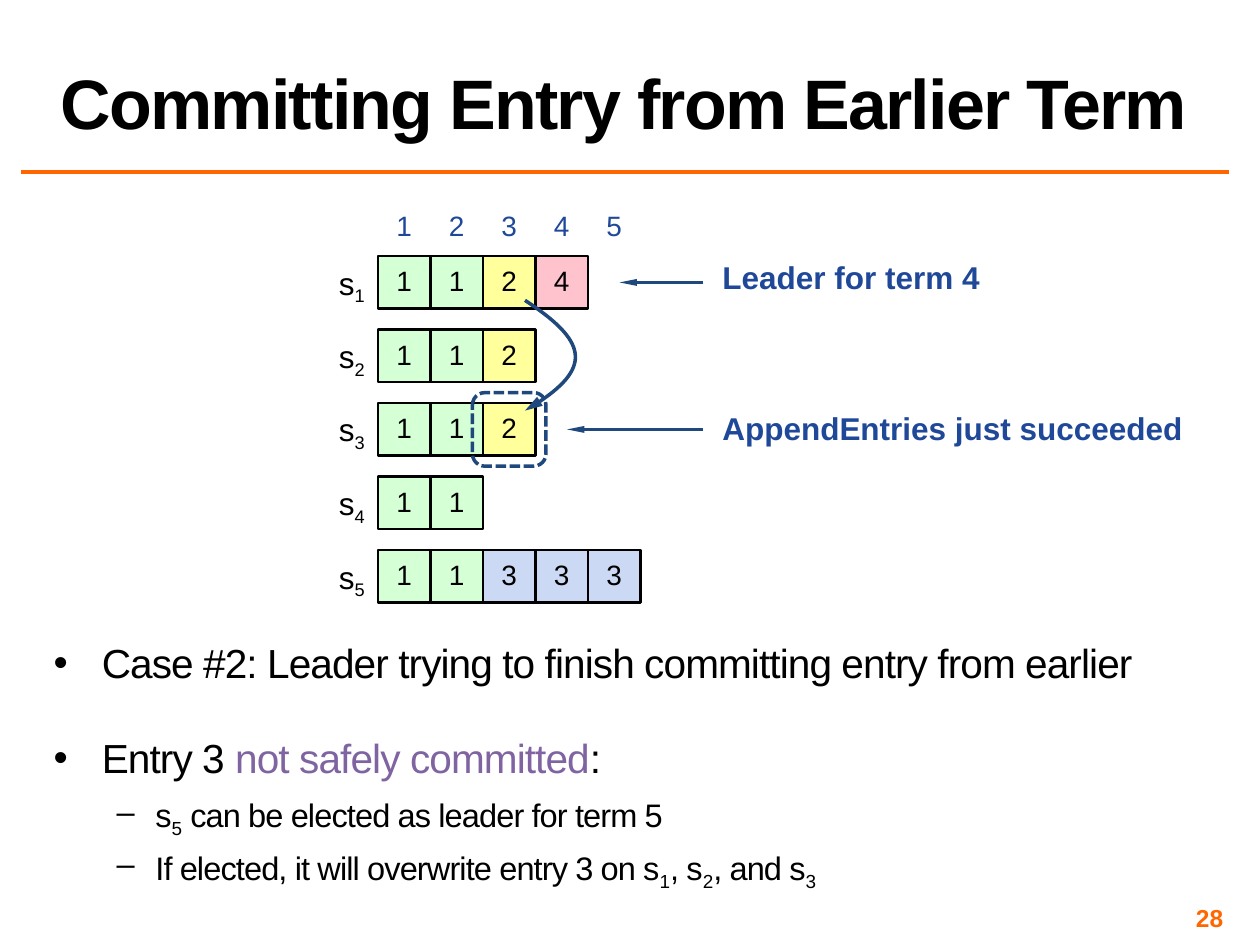
from lxml import etree
from pptx import Presentation
from pptx.dml.color import RGBColor as Rgb
from pptx.enum.dml import MSO_LINE as Dash
from pptx.enum.shapes import MSO_CONNECTOR as Conn, MSO_SHAPE as Kind
from pptx.enum.text import MSO_ANCHOR as Anchor, MSO_AUTO_SIZE as Auto, PP_ALIGN as Align
from pptx.oxml.ns import qn
from pptx.util import Pt

COLORS = {
    "black": "000000", "orange": "FF6600", "navy": "1F497D", "blue": "1F4899",
    "purple": "8064A2", "green": "D5FFD5", "yellow": "FFFF9B", "pink": "FFC3CE",
    "pale": "CCD9F4",
}
FILLS = {1: "green", 2: "yellow", 3: "pale", 4: "pink"}
LOGS = [[1, 1, 2, 4], [1, 1, 2], [1, 1, 2], [1, 1], [1, 1, 3, 3, 3]]
NOTES = [
    ("Leader for term 4", 250, 260, 590, 269),
    ("AppendEntries just succeeded", 394, 508, 540, 409),
]
BODY = [
    (0, 0, ["Case #2: Leader trying to finish committing entry from earlier"]),
    (0, 24, ["Entry 3 ", ("not safely committed", "purple"), ":"]),
    (1, 3, ["s", ("5", "sub"), " can be elected as leader for term 5"]),
    (1, 3, ["If elected, it will overwrite entry 3 on s", ("1", "sub"), ", s",
            ("2", "sub"), ", and s", ("3", "sub")]),
]
LEVELS = [("•", 46, 46, 23.2, 0.8), ("–", 97, 37, 18.6, 0.75)]

PX = 7620
LEFT, TOP, CELL, PITCH = 360, 244, 50, 70
CURVE = [(500, 286), (558, 324), (566, 353), (500, 391)]
EDGE = 547

deck = Presentation()
deck.slide_width, deck.slide_height = 1200 * PX, 900 * PX
slide = deck.slides.add_slide(deck.slide_layouts[6])
shapes = slide.shapes


def px(*nums):
    return [n * PX for n in nums]


def tint(name):
    return Rgb.from_string(COLORS[name])


def write(para, parts, size, color="black", bold=False, track=0,
          align=Align.LEFT, lead=None, before=0, after=0):
    para.alignment = align
    para.space_before, para.space_after = Pt(before), Pt(after)
    if lead:
        para.line_spacing = lead
    for part in parts:
        text, style = part if isinstance(part, tuple) else (part, None)
        run = para.add_run()
        run.text = text
        font = run.font
        font.name, font.size, font.bold = "Arial", Pt(size), bold
        font.color.rgb = tint(style if style in COLORS else color)
        props = run._r.get_or_add_rPr()
        if track:
            props.set("spc", str(track))
        if style == "sub":
            props.set("baseline", "-25000")


def frame(shape, pad=(0, 0), anchor=Anchor.TOP, grow=False):
    box = shape.text_frame
    box.word_wrap = True
    box.auto_size = Auto.SHAPE_TO_FIT_TEXT if grow else Auto.NONE
    box.vertical_anchor = anchor
    box.margin_left = box.margin_right = pad[0] * PX
    box.margin_top = box.margin_bottom = pad[1] * PX
    return box


def label(area, parts, pad=(0, 0), anchor=Anchor.TOP, grow=False, **style):
    box = frame(shapes.add_textbox(*px(*area)), pad, anchor, grow)
    write(box.paragraphs[0], parts, **style)


def stroke(shape, color, width):
    shape.line.color.rgb = tint(color)
    shape.line.width = Pt(width)


def head(shape, wide):
    tail = etree.SubElement(shape.line._get_or_add_ln(), qn("a:tailEnd"))
    for key, val in (("type", "triangle"), ("w", wide), ("len", "lg")):
        tail.set(key, val)


def rule(x1, y1, x2, y2, color, width):
    line = shapes.add_connector(Conn.STRAIGHT, *px(x1, y1, x2, y2))
    stroke(line, color, width)
    etree.SubElement(line._element.spPr, qn("a:effectLst"))
    return line


def block(kind, area):
    shape = shapes.add_shape(kind, *px(*area))
    shape.shadow.inherit = False
    return shape


def bullet(para, mark, left, hang):
    props = para._p.get_or_add_pPr()
    props.set("marL", str(left * PX))
    props.set("indent", str(-hang * PX))
    etree.SubElement(props, qn("a:buFont")).set("typeface", "Arial")
    etree.SubElement(props, qn("a:buChar")).set("char", mark)


def bend():
    start, end = CURVE[0], CURVE[-1]
    pen = shapes.build_freeform(*start, scale=PX)
    pen.add_line_segments([(EDGE, start[1]), end], close=False)
    arc = pen.convert_to_shape()
    arc.shadow.inherit = False
    arc.fill.background()
    route = arc._element.spPr.find(".//" + qn("a:path"))
    for step in route.findall(qn("a:lnTo")):
        route.remove(step)
    route.set("w", str((EDGE - start[0]) * PX))
    route.set("h", str((end[1] - start[1]) * PX))
    cubic = etree.SubElement(route, qn("a:cubicBezTo"))
    for x, y in CURVE[1:]:
        point = etree.SubElement(cubic, qn("a:pt"))
        point.set("x", str((x - start[0]) * PX))
        point.set("y", str((y - start[1]) * PX))
    stroke(arc, "navy", 2)
    head(arc, "med")


rule(20, 164, 1170, 164, "orange", 2)
label((46, 2, 1124, 140), ["Committing Entry from Earlier Term"], pad=(12, 6),
      anchor=Anchor.BOTTOM, size=40, bold=True, track=-100, lead=0.8)

for col in range(5):
    label((LEFT + col * CELL, 193, CELL, 44), [str(col + 1)], pad=(12, 6),
          grow=True, size=16, color="blue", align=Align.CENTER)

for row, log in enumerate(LOGS):
    y = TOP + row * PITCH
    label((LEFT - CELL, y + 7, CELL, 36), ["s", (str(row + 1), "sub")],
          grow=True, size=18, align=Align.CENTER)
    for col, term in enumerate(log):
        cell = block(Kind.RECTANGLE, (LEFT + col * CELL, y, CELL, CELL))
        cell.fill.solid()
        cell.fill.fore_color.rgb = tint(FILLS[term])
        stroke(cell, "black", 1.5)
        write(frame(cell, anchor=Anchor.MIDDLE).paragraphs[0], [str(term)],
              size=16, align=Align.CENTER, lead=Pt(17))

ring = block(Kind.ROUNDED_RECTANGLE, (450, 374, 70, 70))
ring.fill.background()
stroke(ring, "navy", 2)
ring.line.dash_style = Dash.SQUARE_DOT

for text, y, wide, tip, mid in NOTES:
    label((688, y, wide, 32), [text], grow=True, size=18, color="blue",
          bold=True, lead=Pt(19))
    head(rule(670, mid, tip, mid, "navy", 1.5), "sm")
bend()

body = frame(shapes.add_textbox(*px(46, 612, 1150, 259)), (5, 5))
for num, (level, before, parts) in enumerate(BODY):
    para = body.add_paragraph() if num else body.paragraphs[0]
    mark, left, hang, size, lead = LEVELS[level]
    para.level = level
    bullet(para, mark, left, hang)
    write(para, parts, size, track=-50, lead=lead, before=before, after=8)

label((890, 860, 280, 28), ["28"], pad=(5, 5), anchor=Anchor.MIDDLE,
      size=14, color="orange", bold=True, align=Align.RIGHT)

deck.save("out.pptx")
